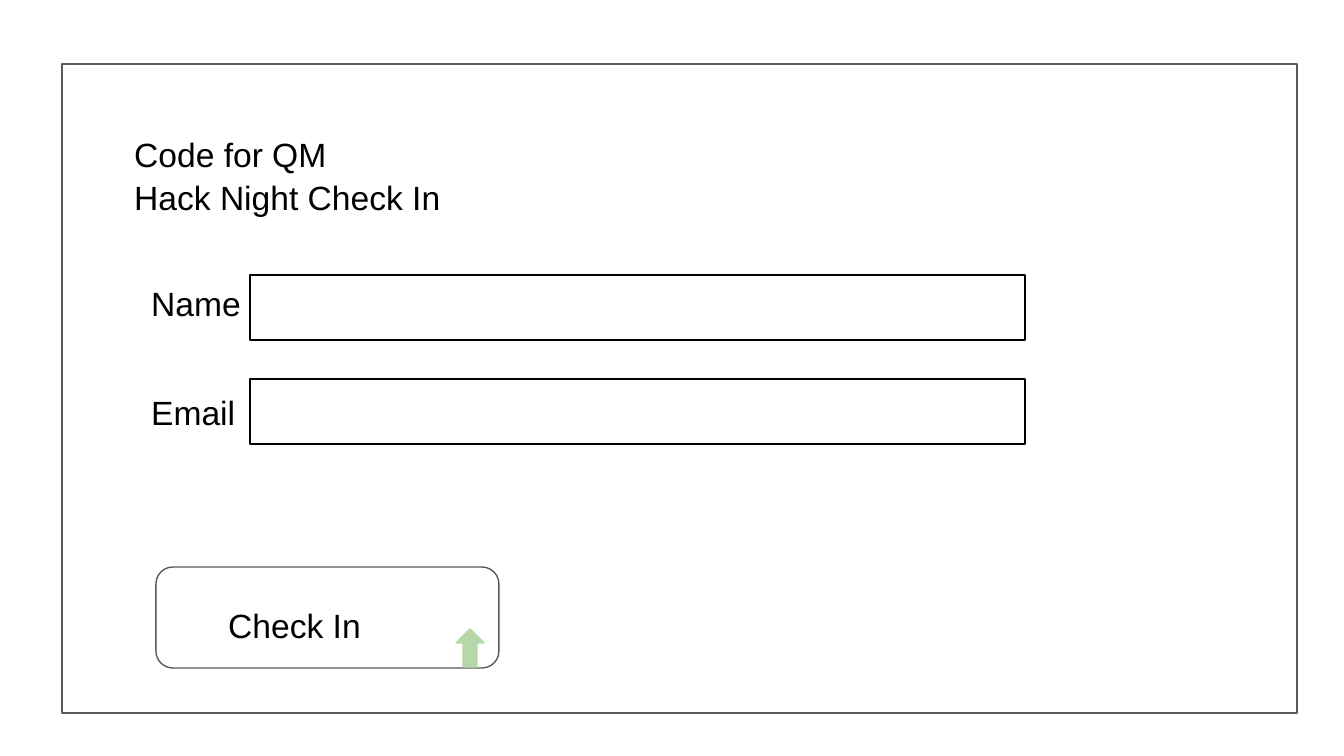
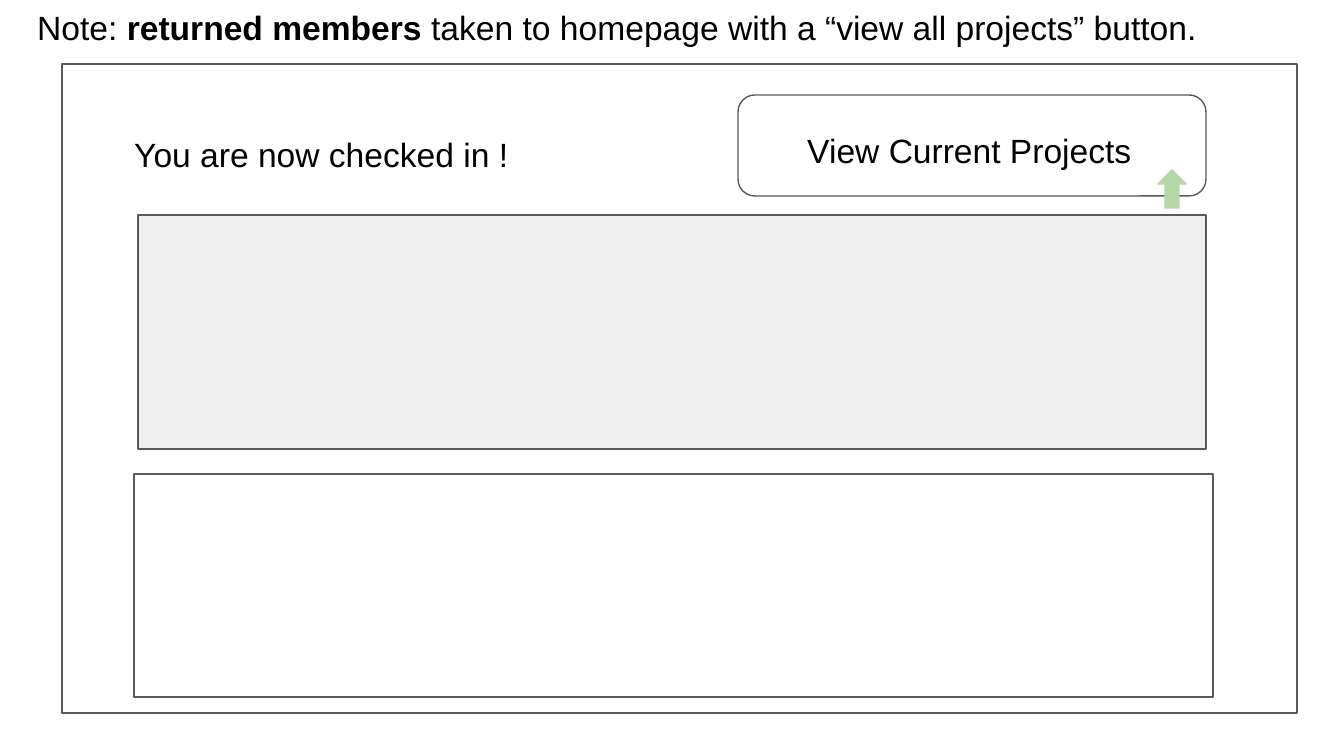
import dataclasses

import pptx
import pptx.dml.color
import pptx.enum.shapes
import pptx.enum.text
import pptx.util

SHAPES = pptx.enum.shapes.MSO_SHAPE


@dataclasses.dataclass(frozen=True)
class Theme:
    font: str = "Arial"
    text_size: int = 18
    line_spacing: float = 1.07
    line_width: float = 0.75
    ink: str = "000000"
    outline: str = "595959"
    panel: str = "EEEEEE"
    arrow: str = "B6D7A8"


THEME = Theme()


def px(length):
    return pptx.util.Emu(round(length * 914400 / 134.4))


def color(code):
    return pptx.dml.color.RGBColor.from_string(code)


def add_shape(page, kind, left, top, width, height, line=THEME.outline, fill=None):
    shape = page.shapes.add_shape(kind, px(left), px(top), px(width), px(height))
    shape.shadow.inherit = False
    if fill:
        shape.fill.solid()
        shape.fill.fore_color.rgb = color(fill)
    else:
        shape.fill.background()
    shape.line.color.rgb = color(line)
    shape.line.width = pptx.util.Pt(THEME.line_width)
    return shape


def add_text(page, left, top, width, height, *lines):
    box = page.shapes.add_textbox(px(left), px(top), px(width), px(height))
    frame = box.text_frame
    frame.word_wrap = True
    frame.vertical_anchor = pptx.enum.text.MSO_ANCHOR.TOP
    frame.margin_left = frame.margin_right = pptx.util.Inches(0.1)
    frame.margin_top = frame.margin_bottom = pptx.util.Inches(0.1)
    for index, spans in enumerate(lines):
        para = frame.paragraphs[0] if index == 0 else frame.add_paragraph()
        para.line_spacing = THEME.line_spacing
        for text, bold in spans:
            span = para.add_run()
            span.text = text
            span.font.name = THEME.font
            span.font.size = pptx.util.Pt(THEME.text_size)
            span.font.bold = bold
            span.font.color.rgb = color(THEME.ink)


def plain(text):
    return [(text, False)]


def add_screen(deck, *heading):
    page = deck.slides.add_slide(deck.slide_layouts[6])
    add_shape(page, SHAPES.RECTANGLE, 62, 64, 1235, 649)
    add_text(page, 121, 118, 999, 117, *map(plain, heading))
    return page


def add_field(page, label, label_top, field_top):
    add_text(page, 138, label_top, 160, 65, plain(label))
    add_shape(page, SHAPES.RECTANGLE, 250, field_top, 775, 65, line=THEME.ink)


def add_button(page, left, top, width, label, label_left, label_top, label_width):
    add_shape(page, SHAPES.ROUNDED_RECTANGLE, left, top, width, 101)
    add_text(page, label_left, label_top, label_width, 65, plain(label))


def add_pointer(page, left, top):
    add_shape(page, SHAPES.UP_ARROW, left, top, 28, 38, line=THEME.arrow, fill=THEME.arrow)


def build_check_in(deck):
    page = add_screen(deck, "Code for QM", "Hack Night Check In")
    add_field(page, "Name", 267, 275)
    add_field(page, "Email", 376, 379)
    add_button(page, 156, 567, 343, "Check In", 215, 589, 246)
    add_pointer(page, 456, 629)


def build_confirmation(deck):
    page = add_screen(deck, "You are now checked in !")
    add_button(page, 738, 95, 468, "View Current Projects", 794, 114, 524)
    add_shape(page, SHAPES.RECTANGLE, 138, 215, 1068, 234, fill=THEME.panel)
    add_shape(page, SHAPES.RECTANGLE, 134, 474, 1079, 223)
    add_pointer(page, 1158, 170)
    note = [
        ("Note: ", False),
        ("returned members", True),
        (" taken to homepage with a “view all projects” button.", False),
    ]
    add_text(page, 24, -9, 1206, 117, note)


def main():
    deck = pptx.Presentation()
    deck.slide_width = px(1344)
    deck.slide_height = px(756)
    build_check_in(deck)
    build_confirmation(deck)
    deck.save("out.pptx")


main()
